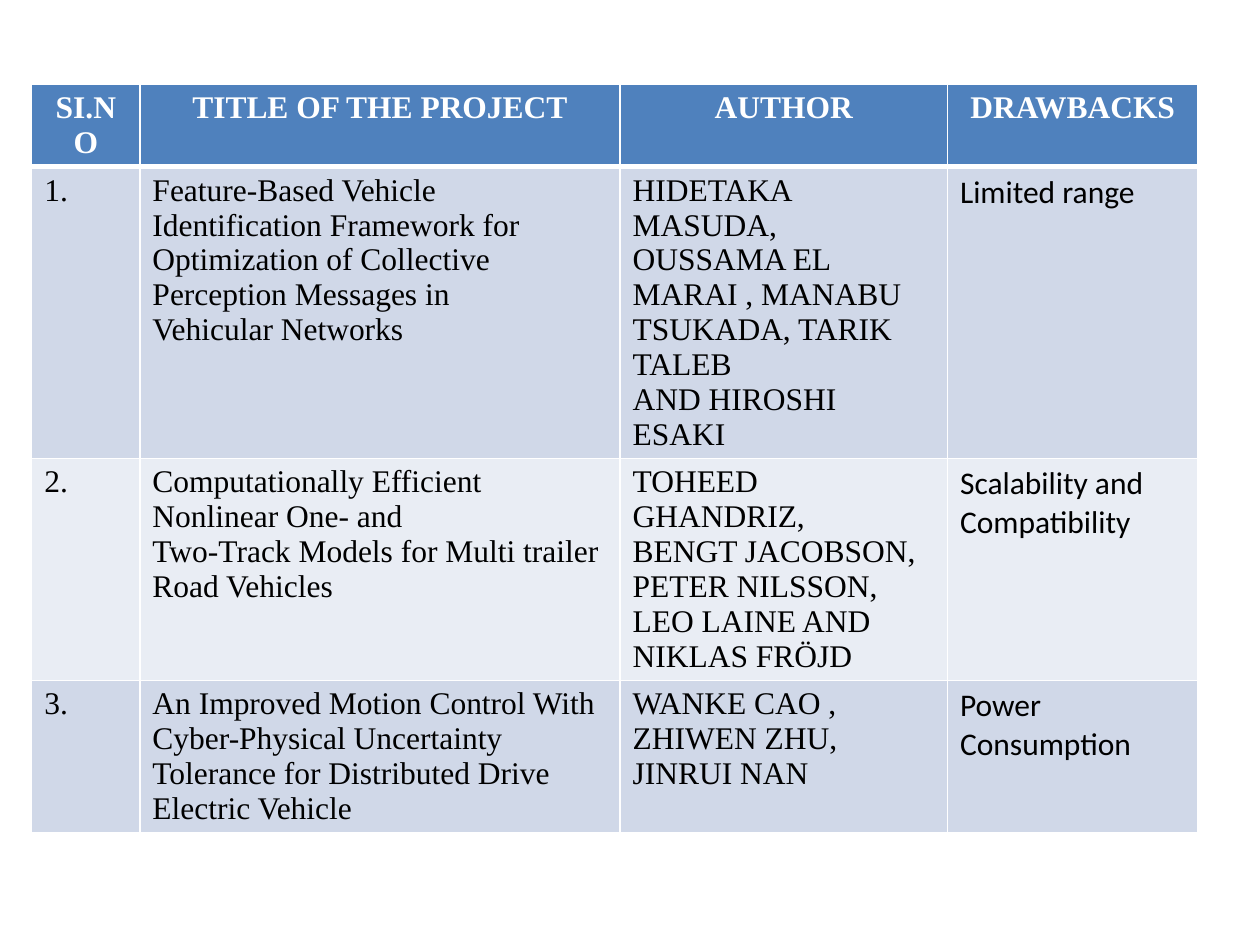
from lxml import etree
from pptx import Presentation
from pptx import util as u
from pptx.dml import color
from pptx.enum import text
from pptx.oxml import ns

HEADINGS = ["SI.NO", "TITLE OF THE PROJECT", "AUTHOR", "DRAWBACKS"]
PAPERS = [
    ["1.",
     "Feature-Based Vehicle Identification Framework for\n"
     "Optimization of Collective Perception Messages in\n"
     "Vehicular Networks",
     "HIDETAKA MASUDA, OUSSAMA EL MARAI , MANABU TSUKADA, TARIK TALEB\n"
     "AND HIROSHI ESAKI",
     "Limited range"],
    ["2.",
     "Computationally Efficient Nonlinear One- and\n"
     "Two-Track Models for Multi trailer Road Vehicles",
     "TOHEED GHANDRIZ,\nBENGT JACOBSON,\nPETER NILSSON,\n"
     "LEO LAINE AND NIKLAS FRÖJD",
     "Scalability and Compatibility"],
    ["3.",
     "An Improved Motion Control With Cyber-Physical Uncertainty "
     "Tolerance for Distributed Drive\nElectric Vehicle",
     "WANKE CAO , ZHIWEN ZHU, JINRUI NAN",
     "Power Consumption"],
]
COLUMN_WIDTHS = [2.18, 9.68, 6.6, 5.05]
ROW_HEIGHTS = [1.4, 2.59, 3.2, 2.18]


def rgb(hex_code):
    return color.RGBColor.from_string(hex_code)


class SurveySlide:
    serif, sans = "Times New Roman", "Calibri"
    size = u.Pt(18)
    white, black = "FFFFFF", "000000"
    header_fill = "4F81BD"
    bands = ["D0D8E8", "E9EDF4"]

    def __init__(self, deck):
        self.slide = deck.slides.add_slide(deck.slide_layouts[6])

    def table(self, left, top, height, widths, heights, rows):
        frame = self.slide.shapes.add_table(
            len(rows), len(widths), u.Cm(left), u.Cm(top),
            u.Cm(sum(widths)), u.Cm(sum(heights)))
        grid = frame.table
        for column, width in zip(grid.columns, widths):
            column.width = u.Cm(width)
        for row, row_height in zip(grid.rows, heights):
            row.height = u.Cm(row_height)
        frame.height = u.Cm(height)
        for r, entries in enumerate(rows):
            for c, entry in enumerate(entries):
                self.cell(grid.cell(r, c), entry, r, c)

    def cell(self, cell, entry, row, column):
        header = row == 0
        self.borders(cell, {"L": 1, "R": 1, "T": 3 if row == 1 else 1,
                            "B": 3 if header else 1})
        cell.fill.solid()
        fill = self.header_fill if header else self.bands[(row - 1) % 2]
        cell.fill.fore_color.rgb = rgb(fill)
        cell.text_frame.text = entry
        for paragraph in cell.text_frame.paragraphs:
            if header:
                paragraph.alignment = text.PP_ALIGN.CENTER
            for run in paragraph.runs:
                font = run.font
                font.name = self.sans if column == 3 and not header else self.serif
                font.size = self.size
                font.bold = header
                font.color.rgb = rgb(self.white if header else self.black)

    def borders(self, cell, points):
        properties = cell._tc.get_or_add_tcPr()
        for side, width in points.items():
            line = etree.SubElement(properties, ns.qn(f"a:ln{side}"), w=str(u.Pt(width)))
            solid = etree.SubElement(line, ns.qn("a:solidFill"))
            etree.SubElement(solid, ns.qn("a:srgbClr"), val=self.white)


def main():
    deck = Presentation()
    deck.slide_width, deck.slide_height = u.Cm(25.4), u.Cm(19.05)
    survey = SurveySlide(deck)
    survey.table(0.64, 1.7, 16.26, COLUMN_WIDTHS, ROW_HEIGHTS, [HEADINGS] + PAPERS)
    deck.save("out.pptx")


if __name__ == "__main__":
    main()
